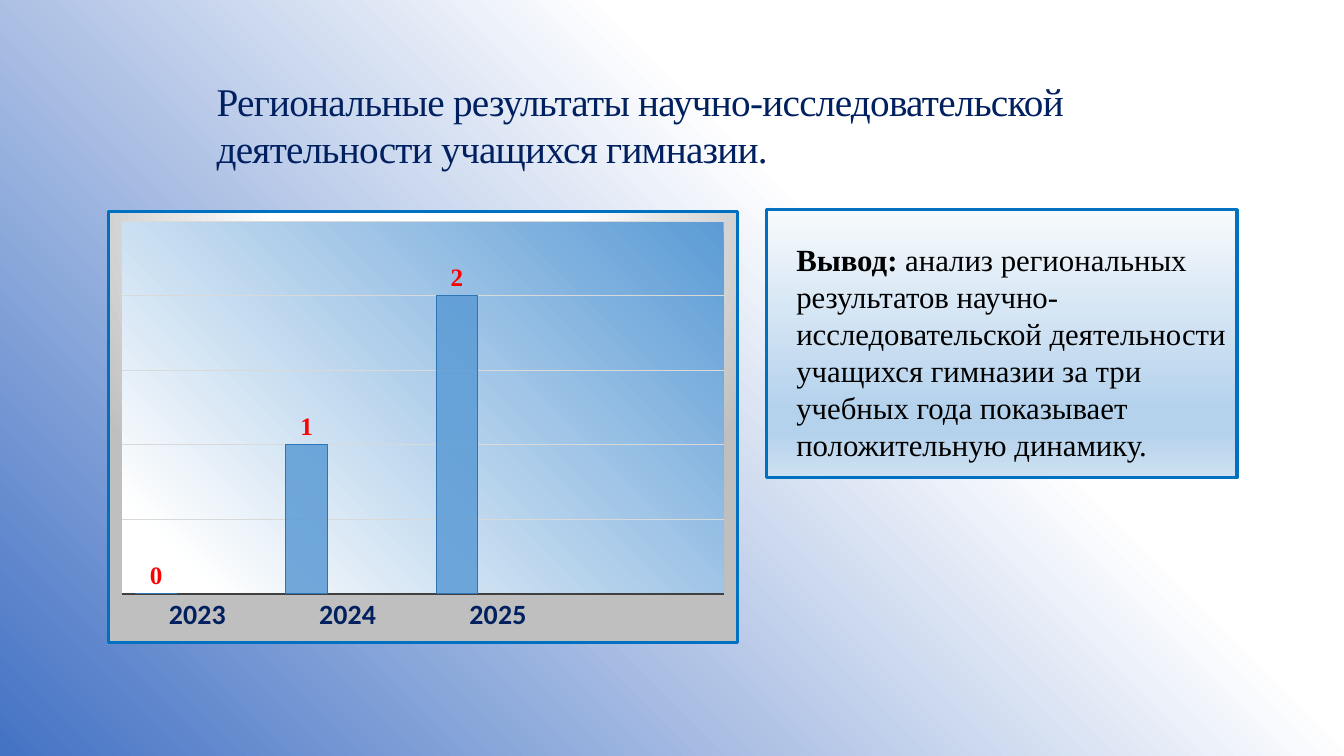
from pptx import Presentation
from pptx.chart.data import CategoryChartData
from pptx.dml.color import RGBColor
from pptx.enum.chart import XL_CHART_TYPE, XL_LABEL_POSITION, XL_TICK_LABEL_POSITION, XL_TICK_MARK
from pptx.enum.shapes import MSO_SHAPE
from pptx.enum.text import MSO_AUTO_SIZE
from pptx.oxml import parse_xml
from pptx.oxml.ns import nsdecls, qn
from pptx.util import Inches, Pt

WHITE = RGBColor(0xFF, 0xFF, 0xFF)
BLACK = RGBColor(0, 0, 0)
NAVY = RGBColor(0x00, 0x20, 0x60)
RED = RGBColor(0xFF, 0, 0)
BORDER = RGBColor(0x00, 0x70, 0xC0)
BACK_BLUE = RGBColor(0x44, 0x72, 0xC4)
PLOT_BLUE = RGBColor(0x5B, 0x9B, 0xD5)
SILVER = RGBColor(0xBF, 0xBF, 0xBF)
GRID = RGBColor(0xD9, 0xD9, 0xD9)
AXIS = RGBColor(0x40, 0x40, 0x40)
PALE = RGBColor(0xF7, 0xFA, 0xFD)
SKY = RGBColor(0xB5, 0xD2, 0xEC)
MIST = RGBColor(0xCE, 0xE1, 0xF2)
SERIES_COLORS = [
    (PLOT_BLUE, RGBColor(0x2E, 0x75, 0xB6)),
    (RGBColor(0xED, 0x7D, 0x31), RGBColor(0xC5, 0x5A, 0x11)),
    (RGBColor(0xA5, 0xA5, 0xA5), RGBColor(0x7C, 0x7C, 0x7C)),
]
SERIF = "Times New Roman"


def gradient(stops, focus=None):
    """Gradient fill element: radial towards focus (l, t, r, b), else top to bottom."""
    gs = "".join(f'<a:gs pos="{pos * 1000}"><a:srgbClr val="{color}"/></a:gs>'
                 for pos, color in stops)
    if focus:
        sides = " ".join(f'{side}="{v * 1000}"' for side, v in zip("ltrb", focus))
        shade = f'<a:path path="circle"><a:fillToRect {sides}/></a:path>'
    else:
        shade = '<a:lin ang="5400000" scaled="0"/>'
    return parse_xml(f'<a:gradFill {nsdecls("a")} rotWithShape="1">'
                     f'<a:gsLst>{gs}</a:gsLst>{shade}</a:gradFill>')


def fill_gradient(fill, parent, grad):
    fill.solid()
    solid = next(parent.iter(qn("a:solidFill")))
    solid.getparent().replace(solid, grad)


def set_line(line, color, width):
    line.color.rgb = color
    line.width = Pt(width)


def set_font(font, size, color, name, bold=False):
    font.size, font.name, font.bold = Pt(size), name, bold
    font.color.rgb = color


def add_text(slide, left, top, width, height, runs, size, color, spacing=None):
    """Text box holding one paragraph of (text, bold) runs."""
    tf = slide.shapes.add_textbox(Inches(left), Inches(top),
                                  Inches(width), Inches(height)).text_frame
    tf.word_wrap = True
    tf.auto_size = MSO_AUTO_SIZE.SHAPE_TO_FIT_TEXT
    p = tf.paragraphs[0]
    for text, bold in runs:
        r = p.add_run()
        r.text = text
        set_font(r.font, size, color, SERIF, bold)
        if spacing:
            r.font._element.set("spc", str(int(spacing * 100)))


def add_panel(slide, left, top, width, height):
    sp = slide.shapes.add_shape(MSO_SHAPE.RECTANGLE, Inches(left), Inches(top),
                                Inches(width), Inches(height))
    sp.shadow.inherit = False
    set_line(sp.line, BORDER, 2.25)
    fill_gradient(sp.fill, sp._element.spPr,
                  gradient([(0, PALE), (74, SKY), (83, SKY), (100, MIST)]))


def style_chart_areas(chart):
    # Chart frame
    space = chart._chartSpace
    frame = parse_xml(f'<c:spPr {nsdecls("c", "a")}><a:ln w="{Pt(2.25)}"><a:solidFill>'
                      f'<a:srgbClr val="{BORDER}"/></a:solidFill></a:ln></c:spPr>')
    frame.insert(0, gradient([(0, WHITE), (39, WHITE), (100, SILVER)], (50, -80, 50, 180)))
    space.find(qn("c:chart")).addnext(frame)
    # Plot area
    plot_area = next(space.iter(qn("c:plotArea")))
    plot_sp = parse_xml(f'<c:spPr {nsdecls("c", "a")}/>')
    plot_sp.append(gradient([(0, WHITE), (9, WHITE), (100, PLOT_BLUE)], (0, 100, 100, 0)))
    plot_area.append(plot_sp)
    for old in plot_area.findall(qn("c:layout")):
        plot_area.remove(old)
    place = "".join(f'<c:{tag} val="{val}"/>' for tag, val in (
        ("layoutTarget", "inner"), ("xMode", "edge"), ("yMode", "edge"),
        ("x", 0.022), ("y", 0.024), ("w", 0.956), ("h", 0.863)))
    plot_area.insert(0, parse_xml(f'<c:layout {nsdecls("c")}><c:manualLayout>{place}'
                                  '</c:manualLayout></c:layout>'))


def add_results_chart(slide, left, top, width, height):
    data = CategoryChartData()
    data.categories = ["2023", "2024", "2025", ""]
    data.add_series("Series 1", [0, 1, 2, None])
    for name in ("Series 2", "Series 3"):
        data.add_series(name, [None] * 4)
    chart = slide.shapes.add_chart(XL_CHART_TYPE.COLUMN_CLUSTERED, Inches(left), Inches(top),
                                   Inches(width), Inches(height), data).chart
    chart.has_title = chart.has_legend = False
    set_font(chart.font, 10, BLACK, "Calibri")

    # Axes
    years = chart.category_axis
    years.major_tick_mark = years.minor_tick_mark = XL_TICK_MARK.NONE
    years.tick_label_position = XL_TICK_LABEL_POSITION.NEXT_TO_AXIS
    set_font(years.tick_labels.font, 20, NAVY, "Calibri", True)
    set_line(years.format.line, AXIS, 1.5)
    counts = chart.value_axis
    counts.minimum_scale, counts.maximum_scale, counts.major_unit = 0, 2.5, 0.5
    counts.has_major_gridlines = True
    set_line(counts.major_gridlines.format.line, GRID, 0.75)
    counts.visible = False

    # Columns and their values
    plot = chart.plots[0]
    plot.gap_width, plot.overlap, plot.vary_by_categories = 65, 0, False
    for series, (color, edge) in zip(plot.series, SERIES_COLORS):
        series.invert_if_negative = False
        fill = series.format.fill
        fill.solid()
        fill.fore_color.rgb = color
        rgb = next(series._element.iter(qn("a:srgbClr")))
        rgb.append(parse_xml(f'<a:alpha {nsdecls("a")} val="85000"/>'))
        set_line(series.format.line, edge, 0.75)
        labels = series.data_labels
        labels.show_value = True
        labels.position = XL_LABEL_POSITION.OUTSIDE_END
        set_font(labels.font, 18, RED, SERIF, True)
    style_chart_areas(chart)


def main():
    prs = Presentation()
    prs.slide_width, prs.slide_height = Inches(13.33), Inches(7.5)
    slide = prs.slides.add_slide(prs.slide_layouts[6])

    # Background
    fill_gradient(slide.background.fill, slide._element,
                  gradient([(0, WHITE), (35, WHITE), (100, BACK_BLUE)], (100, 0, 0, 100)))

    # Chart and conclusion panel
    add_panel(slide, 7.6, 2.08, 4.67, 2.66)
    add_results_chart(slide, 1.06, 2.08, 6.27, 4.31)

    # Title and conclusion
    add_text(slide, 2.05, 0.72, 9.69, 1.04,
             [("Региональные результаты научно-исследовательской деятельности учащихся гимназии.",
               False)], 28, NAVY, spacing=-0.5)
    add_text(slide, 7.8, 2.34, 4.74, 2.32,
             [("Вывод:", True),
              (" анализ региональных результатов научно-исследовательской деятельности учащихся "
               "гимназии за три учебных года показывает положительную динамику.", False)],
             22, BLACK)
    prs.save("out.pptx")


if __name__ == "__main__":
    main()
